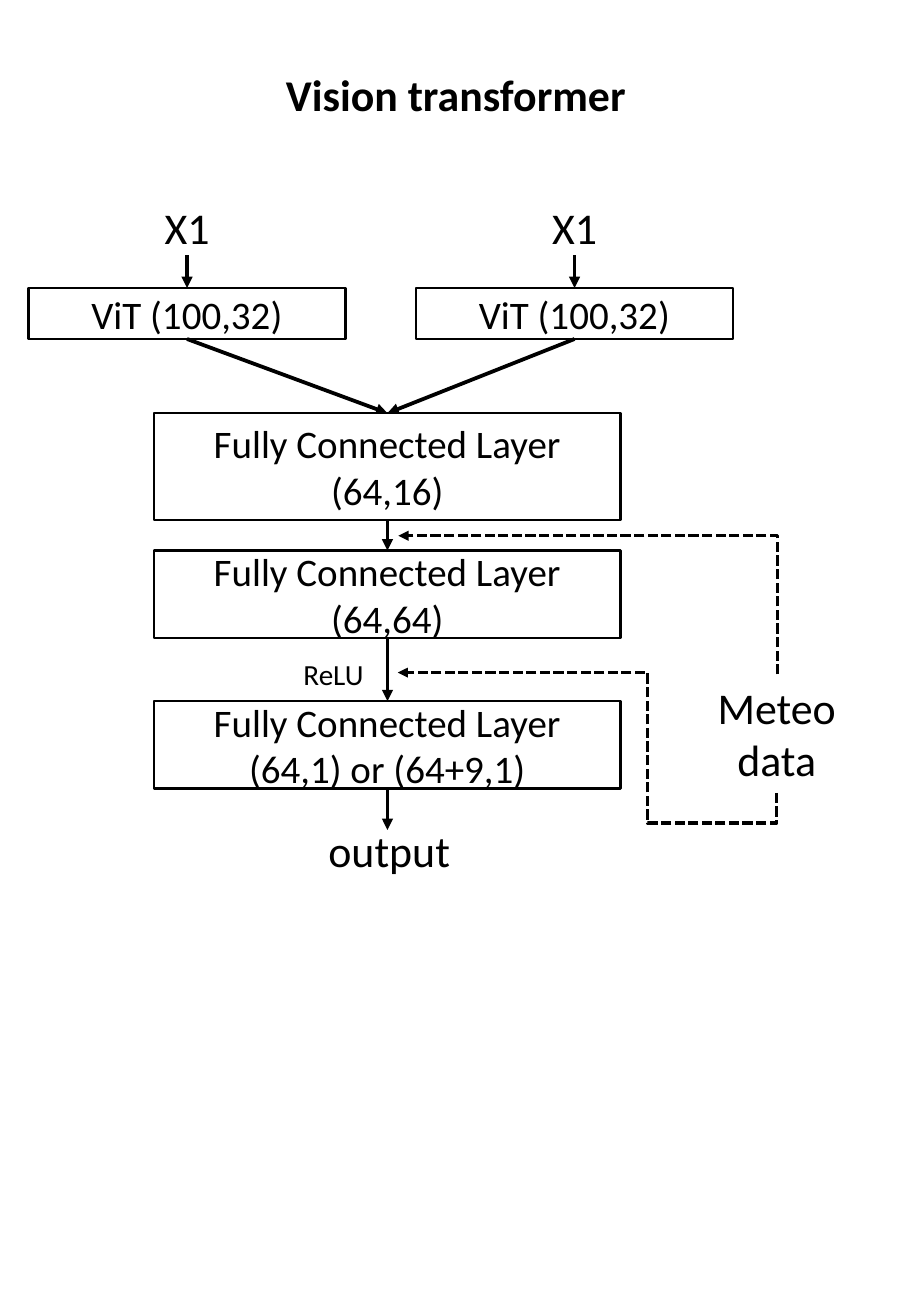
import pptx
import pptx.util
import pptx.dml.color
import pptx.enum.dml
import pptx.enum.shapes
import pptx.enum.text
import pptx.oxml
import pptx.oxml.ns

Inches, Pt = pptx.util.Inches, pptx.util.Pt
ALIGN, ANCHOR = pptx.enum.text.PP_ALIGN, pptx.enum.text.MSO_ANCHOR
CONNECTOR = pptx.enum.shapes.MSO_CONNECTOR
BLACK, WHITE = "000000", "FFFFFF"
LABEL_SIZE, LAYER_SIZE, NOTE_SIZE = 26, 23.1, 17.3

TITLE = ("Vision transformer", (1.82, 0.51, 3.87, 0.54))
BRANCHES = [("X1", "ViT (100,32)", 1.54), ("X1", "ViT (100,32)", 4.73)]
INPUT_WIDTH, INPUT_TOP, INPUT_BOTTOM = 3.08, 1.6, 2.1
VIT_WIDTH, VIT_TOP, VIT_HEIGHT = 2.61, 2.37, 0.42
TRUNK, LAYER_WIDTH = 3.19, 3.84
LAYERS = [
    ("Fully Connected Layer (64,16)", 3.4, 0.88),
    ("Fully Connected Layer (64,64)", 4.53, 0.72),
    ("Fully Connected Layer (64,1) or (64+9,1)", 5.77, 0.72),
]
OUTPUT_ARROW_END = 6.83
LABELS = [
    ("ReLU", (2.4, 5.35, 0.88, 0.36), NOTE_SIZE, ALIGN.LEFT),
    ("output", (2.49, 6.73, 1.43, 0.54), LABEL_SIZE, ALIGN.CENTER),
    ("Meteo data", (5.68, 5.55, 1.43, 0.98), LABEL_SIZE, ALIGN.CENTER),
]
METEO_LINKS = [
    ("bentConnector2", (4.27, 3.42, 1.14, 3.12), 270, "flipV", []),
    ("bentConnector4", (4.34, 4.47, 0.99, 3.12), 90, "flipH", [-0.251, 0.341]),
]


def rgb(value):
    return pptx.dml.color.RGBColor.from_string(value)


def write(shape, text, size, align=ALIGN.CENTER, anchor=ANCHOR.TOP, bold=False):
    frame = shape.text_frame
    frame.word_wrap = True
    frame.auto_size = pptx.enum.text.MSO_AUTO_SIZE.NONE
    frame.vertical_anchor = anchor
    paragraph = frame.paragraphs[0]
    paragraph.alignment = align
    run = paragraph.add_run()
    run.text = text
    run.font.size = Pt(size)
    run.font.name = "Calibri"
    run.font.bold = bold
    run.font.color.rgb = rgb(BLACK)


def add_label(text, box, size=LABEL_SIZE, align=ALIGN.CENTER):
    write(slide.shapes.add_textbox(*map(Inches, box)), text, size, align)


def add_layer(text, center, top, width, height):
    layer = slide.shapes.add_shape(
        pptx.enum.shapes.MSO_SHAPE.RECTANGLE,
        *map(Inches, (center - width / 2, top, width, height)))
    layer.shadow.inherit = False
    layer.fill.solid()
    layer.fill.fore_color.rgb = rgb(WHITE)
    layer.line.color.rgb = rgb(BLACK)
    layer.line.width = Pt(1.5)
    write(layer, text, LAYER_SIZE, anchor=ANCHOR.MIDDLE)


def add_arrow(start, end, kind=CONNECTOR.STRAIGHT, width=2.25):
    arrow = slide.shapes.add_connector(kind, *map(Inches, start + end))
    arrow.line.color.rgb = rgb(BLACK)
    arrow.line.width = Pt(width)
    head = pptx.oxml.parse_xml(
        f'<a:tailEnd {pptx.oxml.ns.nsdecls("a")} type="triangle"/>')
    arrow.line._get_or_add_ln().append(head)
    properties = arrow._element.spPr
    properties.append(pptx.oxml.parse_xml(
        f'<a:effectLst {pptx.oxml.ns.nsdecls("a")}/>'))
    return arrow


def add_meteo_link(preset, box, degrees, flip, adjustments):
    left, top, width, height = box
    link = add_arrow((left, top), (left + width, top + height), CONNECTOR.ELBOW, 2)
    link.line.dash_style = pptx.enum.dml.MSO_LINE.SQUARE_DOT
    properties = link._element.spPr
    frame = properties.find(pptx.oxml.ns.qn("a:xfrm"))
    frame.set("rot", str(degrees * 60000))
    frame.set(flip, "1")
    geometry = properties.find(pptx.oxml.ns.qn("a:prstGeom"))
    geometry.set("prst", preset)
    guides = geometry.find(pptx.oxml.ns.qn("a:avLst"))
    for number, share in enumerate(adjustments, 1):
        guides.append(pptx.oxml.parse_xml(
            f'<a:gd {pptx.oxml.ns.nsdecls("a")} name="adj{number}" '
            f'fmla="val {round(share * 100000)}"/>'))


deck = pptx.Presentation()
deck.slide_width, deck.slide_height = Inches(7.5), Inches(10.83)
slide = deck.slides.add_slide(deck.slide_layouts[5])
slide.background.fill.solid()
slide.background.fill.fore_color.rgb = rgb(WHITE)

heading = slide.shapes.title
title_text, title_box = TITLE
heading.left, heading.top, heading.width, heading.height = map(Inches, title_box)
write(heading, title_text, LABEL_SIZE, bold=True)

for source, encoder, center in BRANCHES:
    add_label(source, (center - INPUT_WIDTH / 2, INPUT_TOP,
                       INPUT_WIDTH, INPUT_BOTTOM - INPUT_TOP))
    add_layer(encoder, center, VIT_TOP, VIT_WIDTH, VIT_HEIGHT)
    add_arrow((center, INPUT_BOTTOM), (center, VIT_TOP))
    add_arrow((center, VIT_TOP + VIT_HEIGHT), (TRUNK, LAYERS[0][1]))

next_tops = [top for _, top, _ in LAYERS[1:]] + [OUTPUT_ARROW_END]
for (text, top, height), next_top in zip(LAYERS, next_tops):
    add_layer(text, TRUNK, top, LAYER_WIDTH, height)
    add_arrow((TRUNK, top + height), (TRUNK, next_top))

for label in LABELS:
    add_label(*label)
for meteo_link in METEO_LINKS:
    add_meteo_link(*meteo_link)

deck.save("out.pptx")
